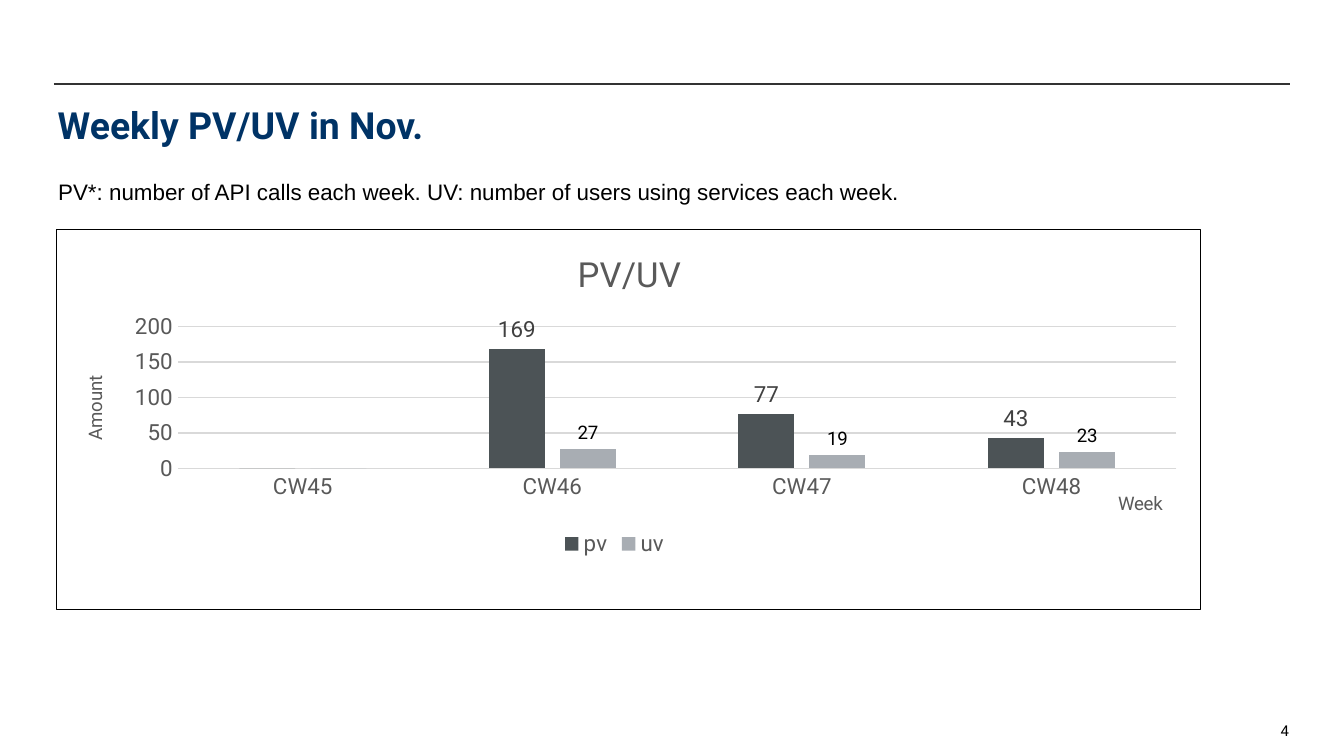
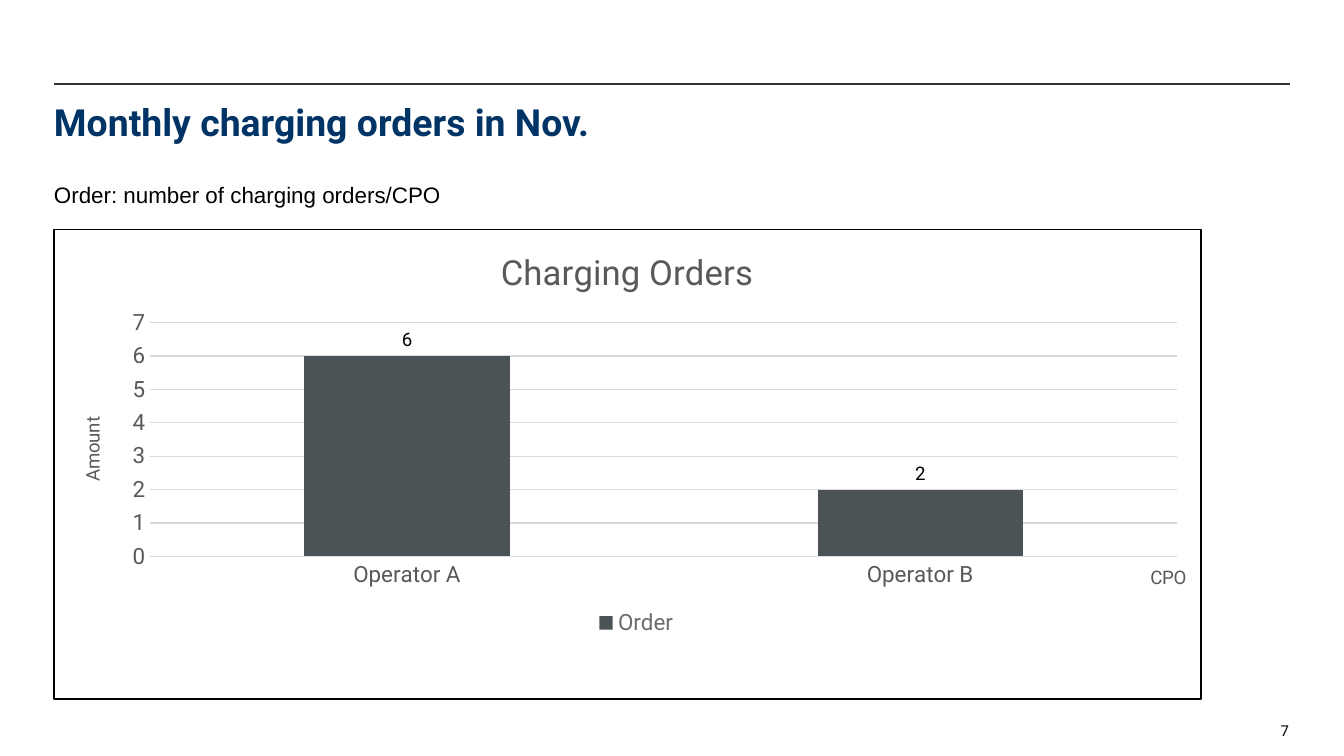
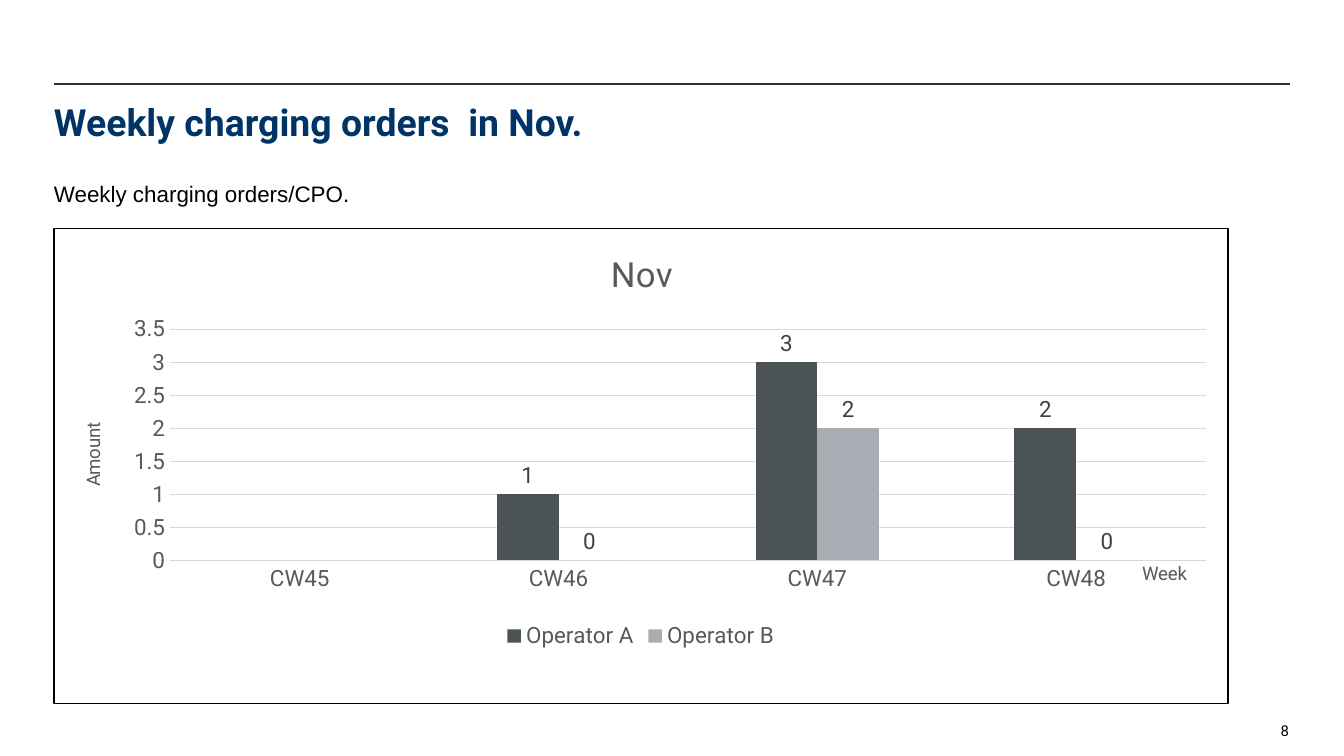
from dataclasses import dataclass

from lxml import etree
from pptx import Presentation
from pptx import util as u
from pptx.chart import data as chart_data
from pptx.dml import color as dml
from pptx.enum import chart as charts, shapes, text as texts
from pptx.oxml import ns


@dataclass(frozen=True)
class Theme:
    heading_font: str = "Roboto"
    body_font: str = "Arial"
    navy: str = "003366"
    black: str = "000000"
    rule: str = "333333"
    label: str = "404040"
    axis: str = "595959"
    legend: str = "6B6B6B"
    grid: str = "D9D9D9"
    bars: tuple = ("4C5356", "A8ADB3")
    title_size: float = 20
    chart_title_size: float = 18.6
    text_size: float = 12
    small_size: float = 10
    number_size: float = 8
    line_width: float = 0.75


theme = Theme()
rgb = dml.RGBColor.from_string


def write_text(frame, content, *, size, color, font=theme.heading_font,
               bold=False, align=texts.PP_ALIGN.LEFT):
    """Fill a text frame with one formatted paragraph."""
    frame.word_wrap = True
    frame.auto_size = texts.MSO_AUTO_SIZE.NONE
    frame.vertical_anchor = texts.MSO_ANCHOR.TOP
    frame.margin_left = frame.margin_right = 0
    frame.margin_top = frame.margin_bottom = 0
    paragraph = frame.paragraphs[0]
    paragraph.alignment = align
    run = paragraph.add_run()
    run.text = content
    run.font.name = font
    run.font.size = u.Pt(size)
    run.font.bold = bold
    run.font.color.rgb = rgb(color)


def place_part(element, index, spot):
    """Fix a chart part at x, y (and w, h) in percent of the chart's size."""
    for old in element.findall(ns.qn("c:layout")):
        element.remove(old)
    layout = etree.Element(ns.qn("c:layout"))
    manual = etree.SubElement(layout, ns.qn("c:manualLayout"))
    settings = {"layoutTarget": "inner"} if len(spot) == 4 else {}
    settings.update(xMode="edge", yMode="edge")
    settings.update((name, percent / 100) for name, percent in zip("xywh", spot))
    for name, value in settings.items():
        etree.SubElement(manual, ns.qn(f"c:{name}")).set("val", str(value))
    element.insert(index, layout)


# Content: boxes are left, top, width, height in cm; chart parts are in percent
weeks = ["CW45", "CW46", "CW47", "CW48"]
operators = ["Operator A", "Operator B"]
strong_label = (theme.text_size, theme.label)
plain_label = (theme.small_size, theme.black)
pages = [
    dict(number="4", title="Weekly PV/UV in Nov.", title_box=(1.09, 1.94, 23.37, 0.99),
         note="PV*: number of API calls each week. "
              "UV: number of users using services each week.",
         note_box=(1.1, 3.37, 23.01, 0.51),
         chart_title="PV/UV", chart_box=(1.06, 4.33, 21.64, 7.21),
         categories=weeks, category_title="Week",
         series=[("pv", (0, 169, 77, 43), strong_label),
                 ("uv", (0, 27, 19, 23), plain_label)],
         label_format="0;;;", gap=219, overlap=-27, unit=None, legend=theme.axis,
         plot_at=(10.6, 25.5, 87.3, 37.3), title_at=(45, 4),
         category_at=(92.5, 68), value_at=(2, 37.6), legend_at=(43.8, 77.8)),
    dict(number="7", title="Monthly charging orders in Nov.",
         title_box=(1.02, 1.88, 23.37, 1.42),
         note="Order: number of charging orders/CPO", note_box=(1.02, 3.43, 23.01, 0.51),
         chart_title="Charging Orders", chart_box=(1.01, 4.33, 21.7, 8.9),
         categories=operators, category_title="CPO",
         series=[("Order", (6, 2), plain_label)],
         label_format="General", gap=150, overlap=0, unit=1, legend=theme.legend,
         plot_at=(8.4, 19.8, 89.5, 49.8), title_at=(38.4, 2.8),
         category_at=(95.3, 70.7), value_at=(2, 39.2), legend_at=(46.9, 79.8)),
    dict(number="8", title="Weekly charging orders  in Nov.",
         title_box=(1.02, 1.88, 23.37, 1.42),
         note="Weekly charging orders/CPO.", note_box=(1.02, 3.4, 22.81, 1.19),
         chart_title="Nov", chart_box=(1.01, 4.31, 22.21, 9),
         categories=weeks, category_title="Week",
         series=[(operators[0], (None, 1, 3, 2), strong_label),
                 (operators[1], (None, 0, 2, 0), strong_label)],
         label_format="General", gap=219, overlap=0, unit=None, legend=theme.axis,
         plot_at=(9.9, 21.2, 88.2, 48.7), title_at=(46.9, 3.4),
         category_at=(92.4, 69.3), value_at=(2, 40.2), legend_at=(38, 81.9)),
]

presentation = Presentation()
presentation.slide_width = u.Cm(25.4)
presentation.slide_height = u.Cm(14.29)

for page in pages:
    slide = presentation.slides.add_slide(presentation.slide_layouts.get_by_name("Title Only"))

    # Rule above the title
    rule = slide.shapes.add_connector(
        shapes.MSO_CONNECTOR.STRAIGHT, u.Cm(1.02), u.Cm(1.59), u.Cm(24.38), u.Cm(1.59))
    rule.line.color.rgb = rgb(theme.rule)
    rule.line.width = u.Pt(theme.line_width)
    etree.SubElement(rule._element.spPr, ns.qn("a:effectLst"))

    # Title, note and page number
    title = slide.shapes.title
    title.left, title.top, title.width, title.height = map(u.Cm, page["title_box"])
    write_text(title.text_frame, page["title"], size=theme.title_size,
               color=theme.navy, bold=True)
    note = slide.shapes.add_textbox(*map(u.Cm, page["note_box"]))
    write_text(note.text_frame, page["note"], size=theme.text_size,
               color=theme.black, font=theme.body_font)
    number = slide.shapes.add_textbox(*map(u.Cm, (22.48, 13.64, 1.88, 0.38)))
    write_text(number.text_frame, page["number"], size=theme.number_size,
               color=theme.black, align=texts.PP_ALIGN.RIGHT)

    # Column chart
    data = chart_data.CategoryChartData()
    data.categories = page["categories"]
    for name, values, _ in page["series"]:
        data.add_series(name, values)
    chart = slide.shapes.add_chart(charts.XL_CHART_TYPE.COLUMN_CLUSTERED,
                                   *map(u.Cm, page["chart_box"]), data).chart
    chart.font.name = theme.heading_font
    chart.font.size = u.Pt(theme.small_size)
    chart.font.color.rgb = rgb(theme.black)
    plot = chart.plots[0]
    plot.gap_width = page["gap"]
    plot.overlap = page["overlap"]
    plot.vary_by_categories = False

    # Columns and their labels
    for series, color, (_, _, (label_size, label_color)) in zip(
            plot.series, theme.bars, page["series"]):
        series.format.fill.solid()
        series.format.fill.fore_color.rgb = rgb(color)
        series.invert_if_negative = False
        labels = series.data_labels
        labels.show_value = True
        labels.position = charts.XL_LABEL_POSITION.OUTSIDE_END
        labels.number_format = page["label_format"]
        labels.number_format_is_linked = False
        labels.font.name = theme.heading_font
        labels.font.size = u.Pt(label_size)
        labels.font.color.rgb = rgb(label_color)

    # Axes
    for axis, axis_title, spot in (
            (chart.category_axis, page["category_title"], page["category_at"]),
            (chart.value_axis, "Amount", page["value_at"])):
        axis.major_tick_mark = axis.minor_tick_mark = charts.XL_TICK_MARK.NONE
        axis.tick_labels.font.name = theme.heading_font
        axis.tick_labels.font.size = u.Pt(theme.text_size)
        axis.tick_labels.font.color.rgb = rgb(theme.axis)
        write_text(axis.axis_title.text_frame, axis_title,
                   size=theme.small_size, color=theme.axis)
        place_part(axis.axis_title._element, 1, spot)
    value_axis = chart.value_axis
    value_axis.axis_title._element.find(".//" + ns.qn("a:bodyPr")).set("rot", "-5400000")
    value_axis.format.line.fill.background()
    value_axis.has_major_gridlines = True
    if page["unit"]:
        value_axis.major_unit = page["unit"]
    for line in (chart.category_axis.format.line, value_axis.major_gridlines.format.line):
        line.color.rgb = rgb(theme.grid)
        line.width = u.Pt(theme.line_width)

    # Chart title, legend and plot area
    write_text(chart.chart_title.text_frame, page["chart_title"],
               size=theme.chart_title_size, color=theme.axis)
    chart.has_legend = True
    legend = chart.legend
    legend.position = charts.XL_LEGEND_POSITION.BOTTOM
    legend.include_in_layout = False
    legend.font.name = theme.heading_font
    legend.font.size = u.Pt(theme.text_size)
    legend.font.color.rgb = rgb(page["legend"])
    chart_element = chart._chartSpace.find(ns.qn("c:chart"))
    place_part(chart.chart_title._element, 1, page["title_at"])
    place_part(legend._element, 1, page["legend_at"])
    place_part(chart_element.find(ns.qn("c:plotArea")), 0, page["plot_at"])

    # Chart border
    border = etree.Element(ns.qn("c:spPr"))
    outline = etree.SubElement(border, ns.qn("a:ln"), w=str(u.Pt(theme.line_width)))
    fill = etree.SubElement(outline, ns.qn("a:solidFill"))
    etree.SubElement(fill, ns.qn("a:srgbClr"), val=theme.black)
    chart_element.addnext(border)

presentation.save("out.pptx")
